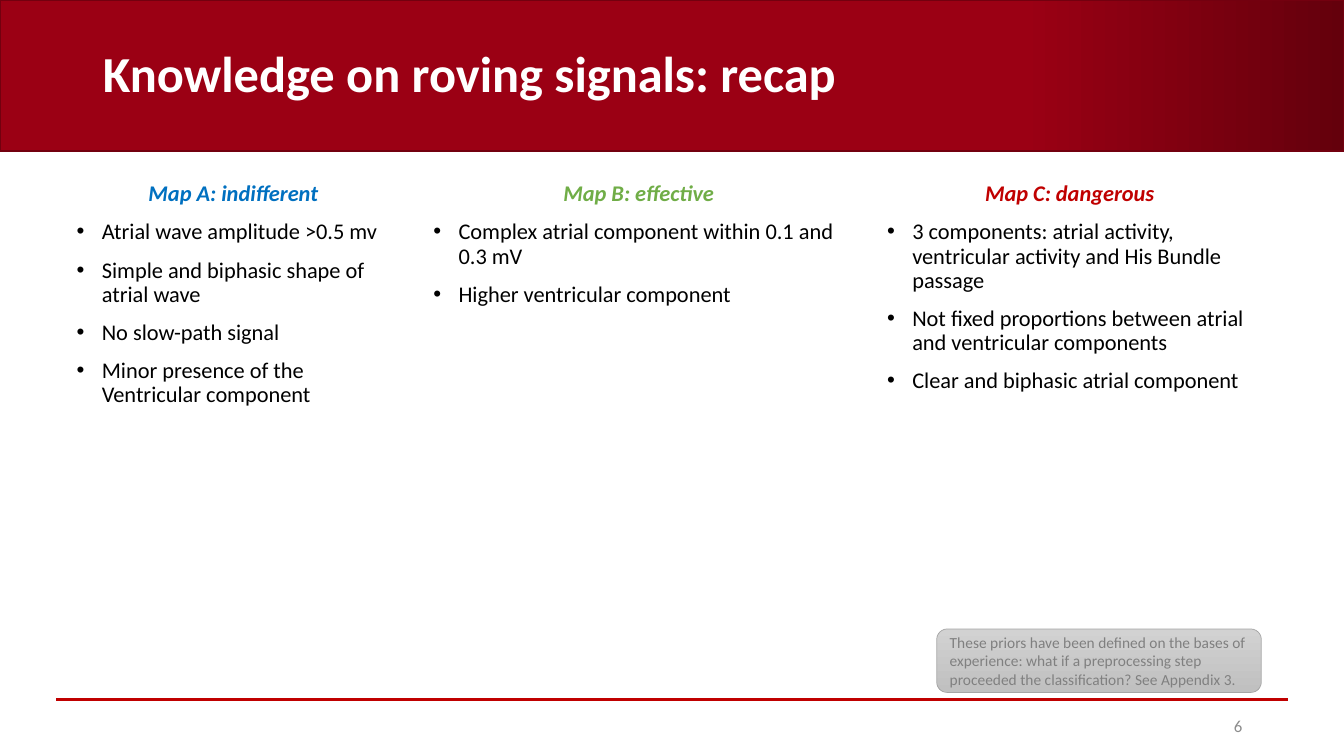
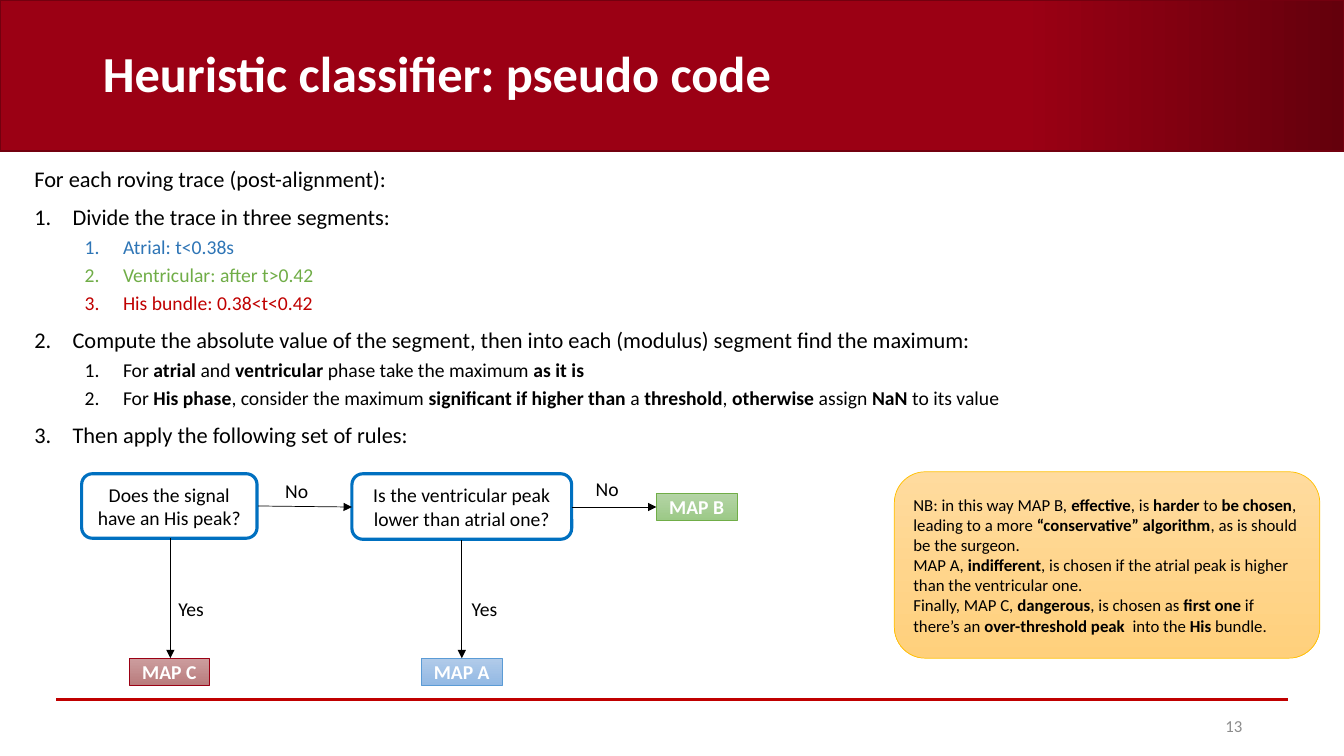
"""Build two slides on roving signals: a recap of the maps and the heuristic classifier."""
import pptx
import pptx.dml.color
import pptx.enum.shapes
import pptx.enum.text
import pptx.oxml.ns
import pptx.util
from lxml import etree

Inches = pptx.util.Inches
Pt = pptx.util.Pt
qn = pptx.oxml.ns.qn
MSO_SHAPE = pptx.enum.shapes.MSO_SHAPE
STRAIGHT = pptx.enum.shapes.MSO_CONNECTOR.STRAIGHT
MIDDLE = pptx.enum.text.MSO_ANCHOR.MIDDLE
NO_FIT = pptx.enum.text.MSO_AUTO_SIZE.NONE
LEFT = pptx.enum.text.PP_ALIGN.LEFT
CENTER = pptx.enum.text.PP_ALIGN.CENTER
RIGHT = pptx.enum.text.PP_ALIGN.RIGHT

FONT = "Calibri"
BLACK, WHITE, GRAY = "000000", "FFFFFF", "8C8C8C"
BLUE, GREEN, RED = "0070C0", "70AD47", "C00000"
CRIMSON, MAROON = "9B0014", "64000C"


def paint(fill, *colors, angle=270):
    """Fill with one hex colour, or with a gradient between two."""
    if len(colors) == 1:
        fill.solid()
        fill.fore_color.rgb = pptx.dml.color.RGBColor.from_string(colors[0])
        return
    fill.gradient()
    fill.gradient_angle = angle
    for stop, color in zip(fill.gradient_stops, colors):
        stop.color.rgb = pptx.dml.color.RGBColor.from_string(color)


def write(shape, text, size=14, color=BLACK, bold=False, italic=False, align=LEFT,
          spacing=1.0, before=0, level=0, indent=0, hanging=0, bullet=None):
    """Add one paragraph; parts between asterisks are bold."""
    frame = shape.text_frame
    frame.word_wrap = True
    frame.auto_size = NO_FIT
    paragraph = frame.add_paragraph() if frame.text else frame.paragraphs[0]
    paragraph.alignment = align
    paragraph.level = level
    paragraph.line_spacing = spacing
    paragraph.space_before = Pt(before)
    properties = paragraph._p.get_or_add_pPr()
    properties.set("marL", str(Inches(indent)))
    properties.set("indent", str(-Inches(hanging)))
    if bullet == "number":
        etree.SubElement(properties, qn("a:buFont"), typeface="+mj-lt")
        etree.SubElement(properties, qn("a:buAutoNum"), type="arabicPeriod")
    elif bullet:
        etree.SubElement(properties, qn("a:buFont"), typeface="Arial")
        etree.SubElement(properties, qn("a:buChar"), char=bullet)
    else:
        etree.SubElement(properties, qn("a:buNone"))
    for index, part in enumerate(text.split("*")):
        if part:
            run = paragraph.add_run()
            run.text = part
            run.font.name = FONT
            run.font.size = Pt(size)
            run.font.bold = bold or index % 2 == 1
            run.font.italic = italic
            paint(run.font.fill, color)


presentation = pptx.Presentation()
presentation.slide_width = Inches(13.33)
presentation.slide_height = Inches(7.5)
layout = presentation.slide_layouts[1]

slides = []
for title, number in (("Knowledge on roving signals: recap", "6"),
                      ("Heuristic classifier: pseudo code", "13")):
    slide = presentation.slides.add_slide(layout)
    heading = slide.shapes.title
    heading.left, heading.top = Inches(0.92), Inches(0.23)
    heading.width, heading.height = Inches(10.83), Inches(1.06)
    heading.text_frame.vertical_anchor = MIDDLE
    write(heading, title, size=36, color=WHITE, bold=True, spacing=0.9)
    page = slide.shapes.add_textbox(Inches(9.42), Inches(7), Inches(3), Inches(0.4))
    page.text_frame.vertical_anchor = MIDDLE
    write(page, number, size=12, color=GRAY, align=RIGHT)
    slides.append(slide)
recap, classifier = slides

band = recap.shapes.add_shape(MSO_SHAPE.RECTANGLE, 0, 0, presentation.slide_width, Inches(1.5))
band.shadow.inherit = False
paint(band.fill, CRIMSON, MAROON, angle=0)
band.fill.gradient_stops[0].position = 0.76
paint(band.line.fill, "73000F")
band.line.width = Pt(1)
rule = recap.shapes.add_connector(STRAIGHT, Inches(0.56), Inches(6.94), Inches(12.77), Inches(6.94))
paint(rule.line.fill, RED)
rule.line.width = Pt(1.5)
etree.SubElement(rule.element.spPr, qn("a:effectLst"))
master_tree = presentation.slide_master.shapes.element
master_tree.insert(2, band.element)
master_tree.insert(3, rule.element)

columns = [
    (0.66, 3.31, "Map A: indifferent", BLUE,
     ["Atrial wave amplitude >0.5 mv", "Simple and biphasic shape of atrial wave",
      "No slow-path signal", "Minor presence of the Ventricular component"]),
    (4.2, 4.27, "Map B: effective", GREEN,
     ["Complex atrial component within 0.1 and 0.3 mV", "Higher ventricular component"]),
    (8.7, 3.82, "Map C: dangerous", RED,
     ["3 components: atrial activity, ventricular activity and His Bundle passage",
      "Not fixed proportions between atrial and ventricular components",
      "Clear and biphasic atrial component"]),
]
for index, (left, width, name, color, points) in enumerate(columns):
    column = recap.placeholders[1] if index == 0 else recap.shapes.add_textbox(0, 0, 0, 0)
    column.left, column.top = Inches(left), Inches(1.76)
    column.width, column.height = Inches(width), Inches(1.99)
    write(column, name, size=16, color=color, bold=True, italic=True, align=CENTER,
          spacing=0.9, before=10)
    for point in points:
        write(column, point, size=16, spacing=0.9, before=10, indent=0.25, hanging=0.25, bullet="•")

steps = classifier.placeholders[1]
steps.left, steps.top = Inches(0.24), Inches(1.62)
steps.width, steps.height = Inches(10.66), Inches(4.51)
write(steps, "For each roving trace (post-alignment):", size=16, spacing=0.9, before=10)
for level, text, color in (
    (0, "Divide the trace in three segments:", BLACK),
    (1, "Atrial: t<0.38s", "2E75B6"),
    (1, "Ventricular: after t>0.42", GREEN),
    (1, "His bundle: 0.38<t<0.42", RED),
    (0, "Compute the absolute value of the segment, then into each (modulus) segment "
        "find the maximum:", BLACK),
    (1, "For *atrial* and *ventricular* phase take the maximum *as it is*", BLACK),
    (1, "For *His phase*, consider the maximum *significant if higher than* a *threshold*, "
        "*otherwise* assign *NaN* to its value", BLACK),
    (0, "Then apply the following set of rules:", BLACK),
):
    write(steps, text, size=16 - 2 * level, color=color, spacing=0.9, before=10 - 5 * level,
          level=level, indent=0.38 + 0.5 * level, hanging=0.38, bullet="number")

note = dict(size=11, color="808080")
question = dict(align=CENTER)
outcome = dict(color=WHITE, bold=True, align=CENTER)
rounded, square = MSO_SHAPE.ROUNDED_RECTANGLE, MSO_SHAPE.RECTANGLE
boxes = [
    (recap, rounded, (9.29, 6.24, 3.22, 0.63), ("D2D2D2", "C0C0C0"), "A5A5A5", 0.5, note,
     ["These priors have been defined on the bases of experience: what if a preprocessing step "
      "proceeded the classification? See Appendix 3."]),
    (classifier, rounded, (0.81, 4.7, 1.74, 0.64), (), BLUE, 2.25, question,
     ["Does the signal have an His peak?"]),
    (classifier, rounded, (3.49, 4.7, 2.18, 0.65), (), BLUE, 2.25, question,
     ["Is the ventricular peak lower than atrial one?"]),
    (classifier, square, (1.28, 6.53, 0.8, 0.27), ("CC9D9E", "B97C7D"), CRIMSON, 0.5, outcome,
     ["MAP C"]),
    (classifier, square, (4.18, 6.53, 0.8, 0.27), ("B1CBE9", "93B9E4"), "5B9BD5", 0.5, outcome,
     ["MAP A"]),
    (classifier, square, (6.51, 4.89, 0.8, 0.27), ("B5D5A7", "9CC987"), GREEN, 0.5, outcome,
     ["MAP B"]),
    (classifier, rounded, (8.87, 4.68, 4.22, 1.85), ("FFDB9E", "FFD07C"), "FFC000", 0.5,
     dict(size=12),
     ["NB: in this way MAP B, *effective*, is *harder* to *be chosen*, leading to a more "
      "*“conservative” algorithm*, as is should be the surgeon.",
      "MAP A, *indifferent*, is chosen if the atrial peak is higher than the ventricular one.",
      "Finally, MAP C, *dangerous*, is chosen as *first one* if there’s an "
      "*over-threshold peak * into the *His* bundle."]),
]
for slide, kind, place, colors, outline, weight, style, texts in boxes:
    box = slide.shapes.add_shape(kind, *map(Inches, place))
    box.shadow.inherit = False
    if colors:
        paint(box.fill, *colors)
    else:
        box.fill.background()
    paint(box.line.fill, outline)
    box.line.width = Pt(weight)
    box.text_frame.vertical_anchor = MIDDLE
    for text in texts:
        write(box, text, **style)

branches = [
    ((1.69, 5.34, 1.69, 6.53), "Yes", (1.67, 5.87)),
    ((2.56, 5.02, 3.49, 5.03), "No", (2.73, 4.7)),
    ((5.67, 5.03, 6.51, 5.03), "No", (5.81, 4.68)),
    ((4.58, 5.36, 4.58, 6.53), "Yes", (4.58, 5.87)),
]
for ends, answer, (left, top) in branches:
    arrow = classifier.shapes.add_connector(STRAIGHT, *map(Inches, ends))
    paint(arrow.line.fill, BLACK)
    arrow.line.width = Pt(0.5)
    etree.SubElement(arrow.element.spPr.find(qn("a:ln")), qn("a:tailEnd"), type="triangle")
    etree.SubElement(arrow.element.spPr, qn("a:effectLst"))
    label = classifier.shapes.add_textbox(Inches(left), Inches(top), Inches(0.55), Inches(0.34))
    write(label, answer)

presentation.save("out.pptx")
